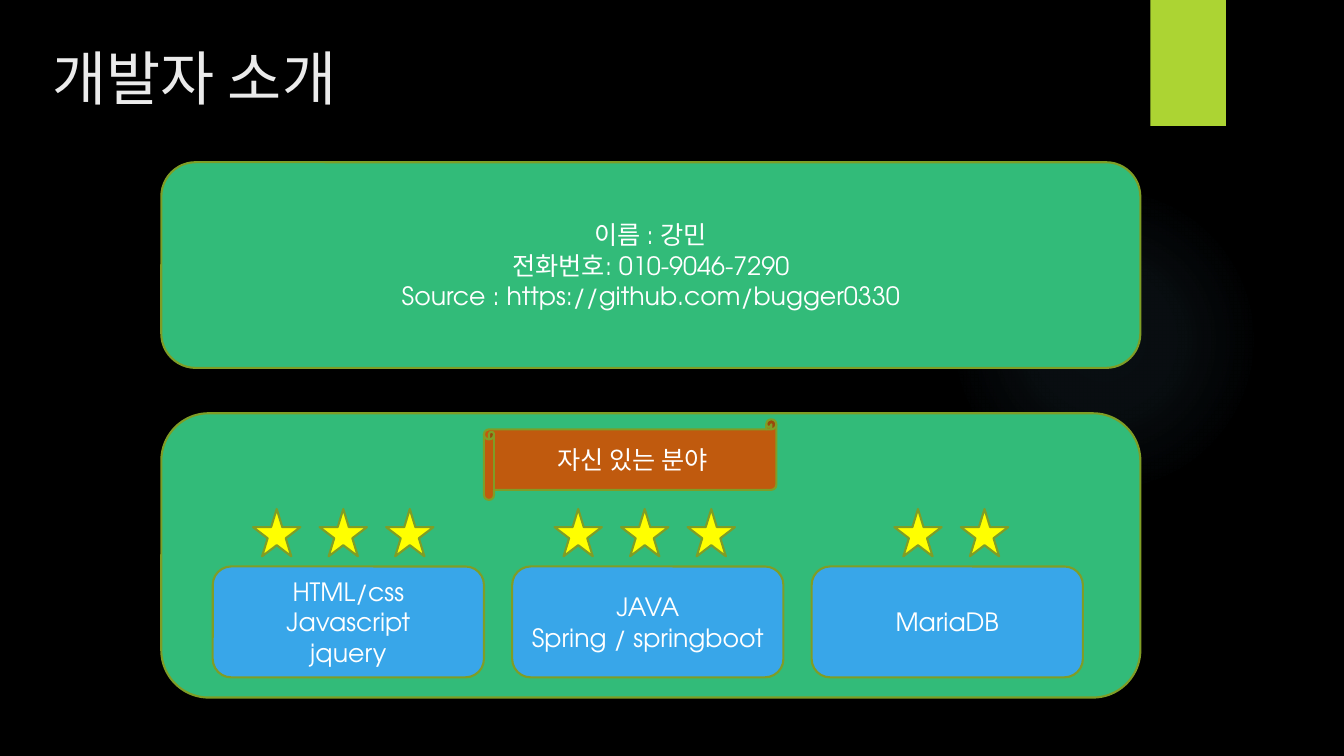
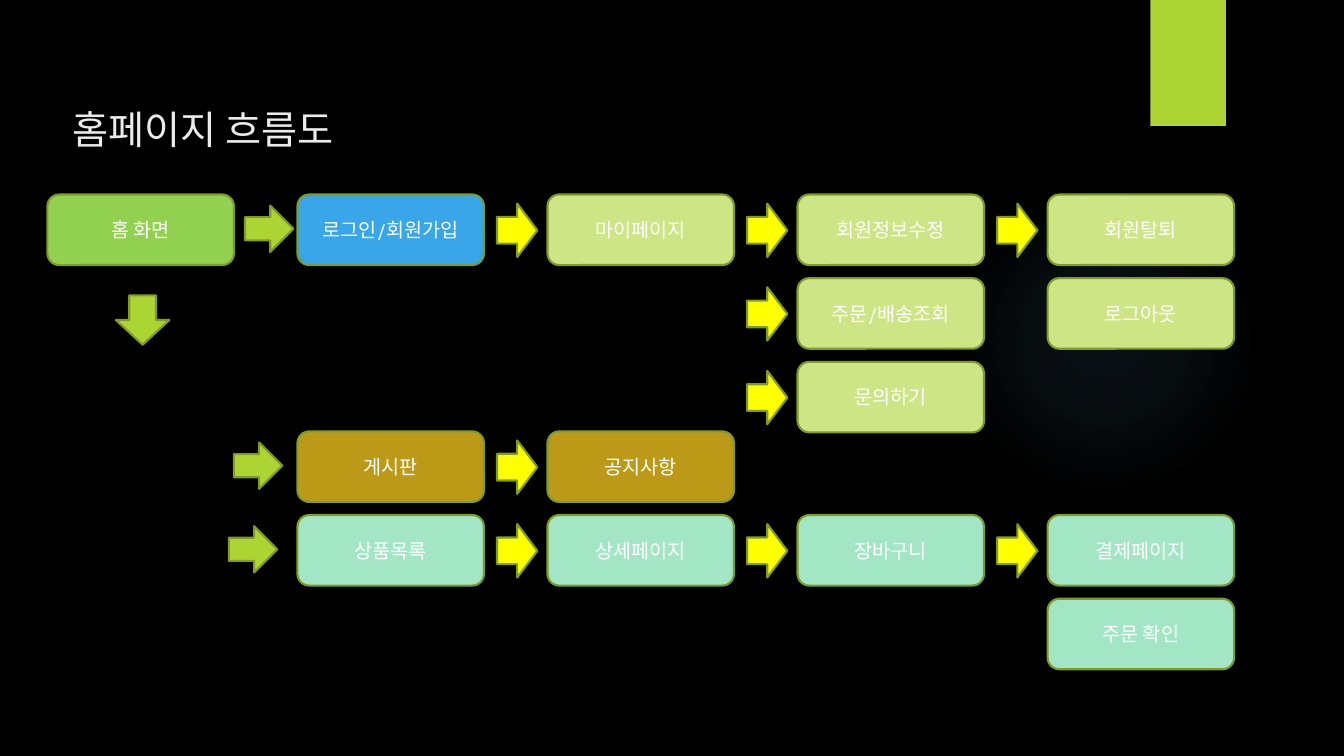
from dataclasses import dataclass
from typing import Sequence

from lxml import etree
from pptx import Presentation
from pptx.dml.color import RGBColor
from pptx.enum.shapes import MSO_SHAPE as Preset
from pptx.enum.text import MSO_ANCHOR as Anchor, MSO_AUTO_SIZE as AutoSize, PP_ALIGN as Align
from pptx.oxml.ns import qn
from pptx.util import Inches, Pt

FONT = "TeX Gyre Adventor"
BLACK, WHITE, TITLE = "000000", "FFFFFF", "EBEBEB"
OUTLINE, LIME, YELLOW = "7F9D26", "ACD433", "FFFF00"
GREEN, RUST, BLUE, GLOW = "32BB79", "C05A0E", "38A6E9", "7AC4F0"
HOME, MEMBER, BOARD, SHOP = "92D050", "CDE585", "BC9A17", "A3E6C6"


@dataclass(frozen=True)
class Box:
    left: float
    top: float
    width: float
    height: float

    def lengths(self):
        return [Inches(v) for v in (self.left, self.top, self.width, self.height)]


@dataclass(frozen=True)
class Skill:
    lines: Sequence[str]
    stars: int
    stars_left: float


@dataclass(frozen=True)
class Step:
    label: str
    column: int
    row: int
    color: str
    leads_on: bool = False


def rgb(color: str) -> RGBColor:
    return RGBColor.from_string(color)


def write(paragraph, text: str, size: float, color: str, align) -> None:
    paragraph.text = text
    paragraph.alignment = align
    for key, value in {"name": FONT, "size": Pt(size), "bold": False}.items():
        setattr(paragraph.font, key, value)
    paragraph.font.color.rgb = rgb(color)


def draw(slide, preset, box: Box, fill: str, lines: Sequence[str] = (),
         size: float = 18, outlined: bool = True):
    shape = slide.shapes.add_shape(preset, *box.lengths())
    shape.shadow.inherit = False
    shape.fill.solid()
    shape.fill.fore_color.rgb = rgb(fill)
    if outlined:
        shape.line.color.rgb = rgb(OUTLINE)
        shape.line.width = Pt(1.5)
    else:
        shape.line.fill.background()
    frame = shape.text_frame
    frame.vertical_anchor = Anchor.MIDDLE
    for i, text in enumerate(lines):
        paragraph = frame.add_paragraph() if i else frame.paragraphs[0]
        write(paragraph, text, size, WHITE, Align.CENTER)
    return shape


def add_glow(slide) -> None:
    glow = draw(slide, Preset.OVAL, Box(9.41, 1.83, 3.08, 3.08), GLOW, outlined=False)
    solid = glow.element.spPr.find(qn("a:solidFill"))
    gradient = etree.Element(qn("a:gradFill"))
    stops = etree.SubElement(gradient, qn("a:gsLst"))
    for position, opacity in ((0, 7), (36, 6), (69, 0)):
        stop = etree.SubElement(stops, qn("a:gs"), pos=str(position * 1000))
        tint = etree.SubElement(stop, qn("a:srgbClr"), val=GLOW)
        etree.SubElement(tint, qn("a:alpha"), val=str(opacity * 1000))
    path_fill = etree.SubElement(gradient, qn("a:path"), path="circle")
    etree.SubElement(path_fill, qn("a:fillToRect"),
                     {side: "50000" for side in "ltrb"})
    solid.getparent().replace(solid, gradient)


def add_themed_slide(prs, title: str, box: Box, size: float):
    """Slide with the shared glow, lime tab and title style."""
    slide = prs.slides.add_slide(prs.slide_layouts[5])
    add_glow(slide)
    draw(slide, Preset.RECTANGLE, Box(11.41, 0, 0.75, 1.25), LIME, outlined=False)
    heading = slide.shapes.title
    heading.left, heading.top, heading.width, heading.height = box.lengths()
    frame_format = {"word_wrap": True, "auto_size": AutoSize.NONE,
                    "vertical_anchor": Anchor.TOP}
    for key, value in frame_format.items():
        setattr(heading.text_frame, key, value)
    write(heading.text_frame.paragraphs[0], title, size, TITLE, Align.LEFT)
    return slide


def build_developer(prs) -> None:
    slide = add_themed_slide(prs, "개발자 소개", Box(0.42, 0.36, 3.39, 0.81), 42)

    # Contact and skill panels
    contact = ("이름 : 강민", "전화번호: 010-9046-7290",
               "Source : https://github.com/bugger0330")
    draw(slide, Preset.ROUNDED_RECTANGLE, Box(1.6, 1.61, 9.71, 2.04), GREEN, contact)
    draw(slide, Preset.ROUNDED_RECTANGLE, Box(1.6, 4.1, 9.71, 2.82), GREEN)
    draw(slide, Preset.HORIZONTAL_SCROLL, Box(4.8, 4.16, 2.9, 0.8), RUST, ["자신 있는 분야"])

    # Skill cards with their ratings
    skills = (
        Skill(("HTML/css", "Javascript", "jquery"), 3, 2.51),
        Skill(("JAVA", "Spring / springboot"), 3, 5.5),
        Skill(("MariaDB",), 2, 8.87),
    )
    for i, skill in enumerate(skills):
        draw(slide, Preset.ROUNDED_RECTANGLE, Box(2.11 + 2.97 * i, 5.62, 2.69, 1.1),
             BLUE, skill.lines)
        for n in range(skill.stars):
            draw(slide, Preset.STAR_5_POINT,
                 Box(skill.stars_left + 0.66 * n, 5.05, 0.47, 0.47), YELLOW)


def build_flow(prs) -> None:
    slide = add_themed_slide(prs, "홈페이지 흐름도", Box(0.62, 0.99, 3.33, 1.18), 28)
    first_left, column_pitch, row_pitch = 0.47, 2.48, 0.83

    def row_top(row: int) -> float:
        """Three rows for members, then three for the board and shop."""
        return (1.93 if row < 3 else 4.28) + row_pitch * (row % 3)

    # Pages, and the yellow arrows to the next page
    steps = (
        Step("홈 화면", 0, 0, HOME),
        Step("로그인/회원가입", 1, 0, BLUE, True),
        Step("마이페이지", 2, 0, MEMBER, True),
        Step("회원정보수정", 3, 0, MEMBER, True),
        Step("회원탈퇴", 4, 0, MEMBER),
        Step("주문/배송조회", 3, 1, MEMBER),
        Step("로그아웃", 4, 1, MEMBER),
        Step("문의하기", 3, 2, MEMBER),
        Step("게시판", 1, 3, BOARD, True),
        Step("공지사항", 2, 3, BOARD),
        Step("상품목록", 1, 4, SHOP, True),
        Step("상세페이지", 2, 4, SHOP, True),
        Step("장바구니", 3, 4, SHOP, True),
        Step("결제페이지", 4, 4, SHOP),
        Step("주문 확인", 4, 5, SHOP),
    )
    for step in steps:
        draw(slide, Preset.ROUNDED_RECTANGLE,
             Box(first_left + column_pitch * step.column, row_top(step.row), 1.85, 0.7),
             step.color, [step.label], 14)
    branches = [(2, 1), (2, 2)]
    for column, row in [(s.column, s.row) for s in steps if s.leads_on] + branches:
        draw(slide, Preset.RIGHT_ARROW,
             Box(first_left + column_pitch * column + 1.98, row_top(row) + 0.09, 0.4, 0.53),
             YELLOW)

    # Green arrows leaving the home page
    draw(slide, Preset.DOWN_ARROW, Box(1.15, 2.93, 0.53, 0.49), LIME)
    for left, row in ((2.43, 0), (2.32, 3), (2.27, 4)):
        draw(slide, Preset.RIGHT_ARROW, Box(left, row_top(row) + 0.11, 0.48, 0.46), LIME)


def main() -> None:
    prs = Presentation()
    prs.slide_width, prs.slide_height = Inches(13.33), Inches(7.5)
    backdrop = prs.slide_master.background.fill
    backdrop.solid()
    backdrop.fore_color.rgb = rgb(BLACK)
    build_developer(prs)
    build_flow(prs)
    prs.save("out.pptx")


if __name__ == "__main__":
    main()
